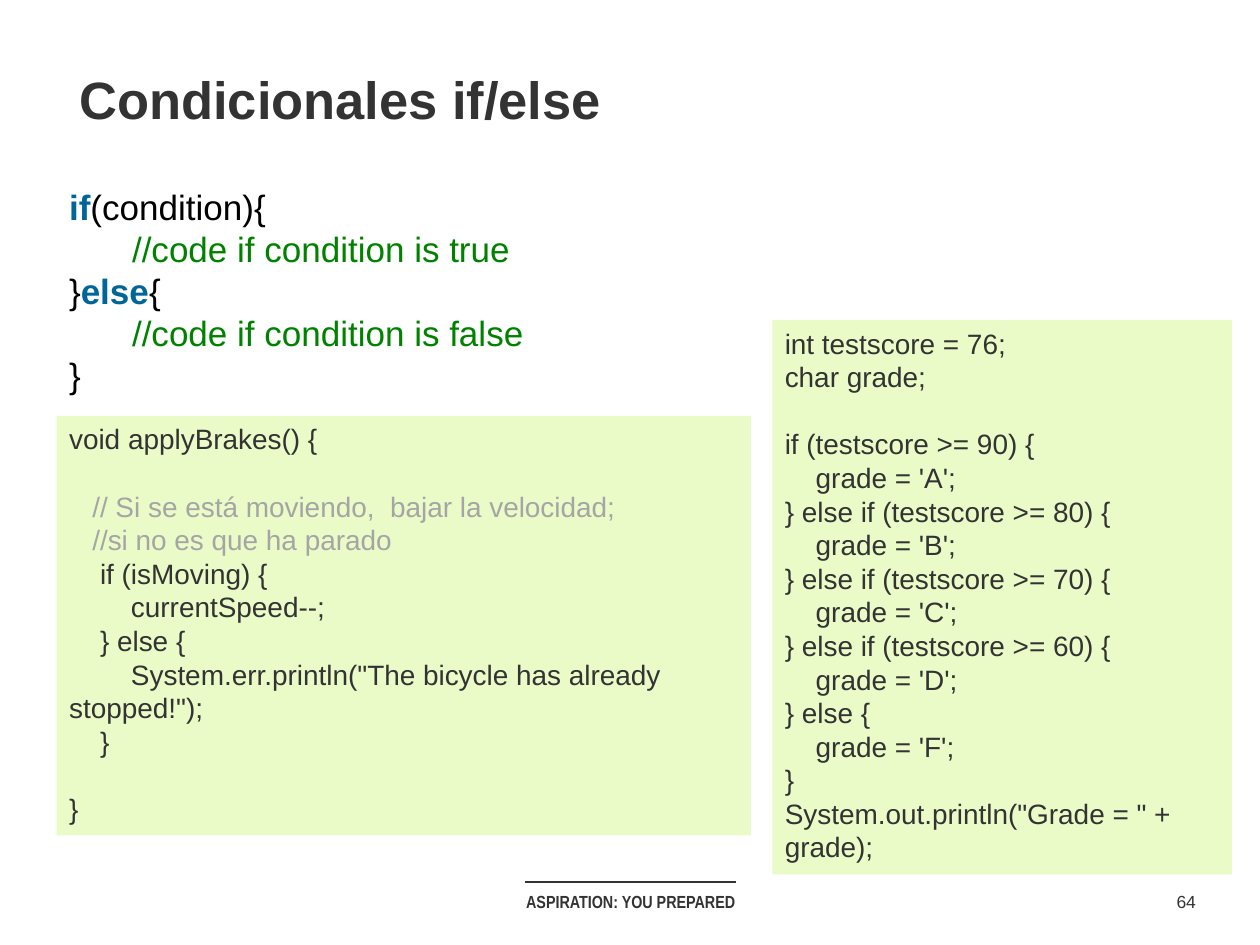
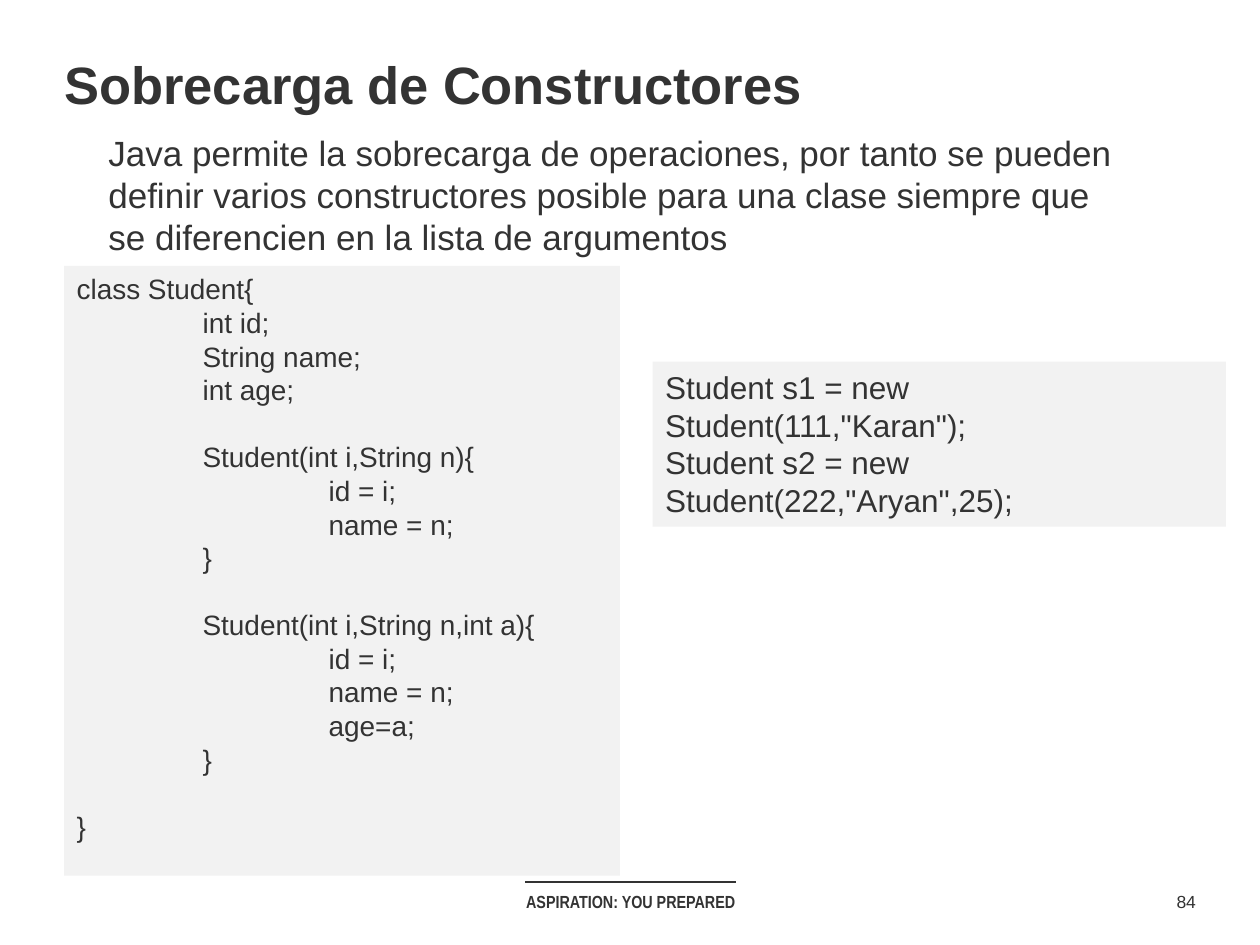
from lxml import etree
from pptx import Presentation
from pptx.dml.color import RGBColor
from pptx.enum.shapes import MSO_CONNECTOR, MSO_SHAPE
from pptx.enum.text import MSO_ANCHOR, PP_ALIGN
from pptx.oxml.ns import qn
from pptx.util import Inches, Pt

RECT, STRAIGHT = MSO_SHAPE.RECTANGLE, MSO_CONNECTOR.STRAIGHT
TOP, MIDDLE = MSO_ANCHOR.TOP, MSO_ANCHOR.MIDDLE
LEFT, CENTER = PP_ALIGN.LEFT, PP_ALIGN.CENTER
TITLE_ONLY = 5
LINE_HEIGHT = 1.2

COLORS = {
    "text": "333333",
    "black": "000000",
    "keyword": "006699",
    "comment": "008200",
    "muted": "A5A5A5",
    "green": "EBFBC8",
    "gray": "F2F2F2",
}
FOOTER = "ASPIRATION: YOU PREPARED"

SYNTAX = [
    [("if", "keyword"), ("(condition){", "black")],
    [("//code if condition is true", "comment")],
    [("}", "black"), ("else", "keyword"), ("{", "black")],
    [("//code if condition is false", "comment")],
    [("}", "black")],
]

BRAKES = """void applyBrakes() {

   // Si se está moviendo,  bajar la velocidad;
   //si no es que ha parado
    if (isMoving) {
        currentSpeed--;
    } else {
        System.err.println("The bicycle has already stopped!");
    }

}"""

GRADES = """int testscore = 76;
char grade;

if (testscore >= 90) {
    grade = 'A';
} else if (testscore >= 80) {
    grade = 'B';
} else if (testscore >= 70) {
    grade = 'C';
} else if (testscore >= 60) {
    grade = 'D';
} else {
    grade = 'F';
}
System.out.println("Grade = " + grade);"""

STUDENT = """class Student{
\tint id;
\tString name;
\tint age;

\tStudent(int i,String n){
\t\tid = i;
\t\tname = n;
\t}

\tStudent(int i,String n,int a){
\t\tid = i;
\t\tname = n;
\t\tage=a;
\t}

}"""

OBJECTS = """Student s1 = new Student(111,"Karan");
Student s2 = new Student(222,"Aryan",25);"""

OVERLOADING = (
    "Java permite la sobrecarga de operaciones, por tanto se pueden definir varios "
    "constructores posible para una clase siempre que se diferencien en la lista de argumentos"
)


def rgb(name):
    return RGBColor.from_string(COLORS[name])


def add_tab_stops(p, count):
    """Set left tab stops one inch apart."""
    stops = etree.SubElement(p._p.get_or_add_pPr(), qn("a:tabLst"))
    for i in range(1, count + 1):
        etree.SubElement(stops, qn("a:tab"), pos=str(Inches(i)), algn="l")


class Deck:
    def __init__(self):
        self.prs = Presentation()
        self.prs.slide_width, self.prs.slide_height = Inches(10), Inches(7.5)
        self.s = None

    def add_slide(self, title, left, top, number):
        self.s = self.prs.slides.add_slide(self.prs.slide_layouts[TITLE_ONLY])
        sp = self.s.shapes.title
        sp.left, sp.top, sp.width, sp.height = map(Inches, (left, top, 8.75, 0.61))
        self.frame(sp, MIDDLE, 0, 0.05)
        self.paragraph(sp.text_frame, 0, [(title, "text")], size=30, bold=True)
        self.footer(number)

    def frame(self, sp, anchor=TOP, side=0.1, edge=0.05):
        settings = {
            "word_wrap": True,
            "vertical_anchor": anchor,
            "margin_left": Inches(side),
            "margin_right": Inches(side),
            "margin_top": Inches(edge),
            "margin_bottom": Inches(edge),
        }
        for key, value in settings.items():
            setattr(sp.text_frame, key, value)

    def paragraph(self, tf, index, runs, size, align=LEFT, font="Arial", bold=False):
        """Write (text, colour) runs; keywords are always bold."""
        p = tf.add_paragraph() if index else tf.paragraphs[0]
        p.alignment = align
        for text, color in runs:
            r = p.add_run()
            r.text = text
            style = {"name": font, "size": Pt(size), "bold": bold or color == "keyword"}
            for key, value in style.items():
                setattr(r.font, key, value)
            r.font.color.rgb = rgb(color)
        return p

    def text(self, box, lines, size, anchor=TOP, side=0.1, edge=0.05, **style):
        sp = self.s.shapes.add_textbox(*map(Inches, box))
        self.frame(sp, anchor, side, edge)
        return [self.paragraph(sp.text_frame, i, runs, size, **style)
                for i, runs in enumerate(lines)]

    def code(self, box, source, fill, size=16):
        """Filled code panel; an empty source line becomes space before the next one."""
        sp = self.s.shapes.add_shape(RECT, *map(Inches, box))
        sp.shadow.inherit = False
        sp.fill.solid()
        sp.fill.fore_color.rgb = rgb(fill)
        sp.line.fill.background()
        self.frame(sp)
        index, gap = 0, 0
        for line in source.split("\n"):
            if not line:
                gap += size * LINE_HEIGHT
                continue
            color = "muted" if line.strip().startswith("//") else "text"
            p = self.paragraph(sp.text_frame, index, [(line, color)], size)
            if "\t" in line:
                add_tab_stops(p, line.count("\t"))
            if gap:
                p.space_before = Pt(gap)
            index, gap = index + 1, 0

    def footer(self, number):
        self.text((3.67, 7.02, 2.67, 0.27), [[(FOOTER, "text")]], 10, MIDDLE,
                  align=CENTER, font="Arial Narrow", bold=True)
        rule = self.s.shapes.add_connector(
            STRAIGHT, Inches(4.17), Inches(7), Inches(5.84), Inches(7))
        rule.line.color.rgb = rgb("text")
        rule.line.width = Pt(0.75)
        etree.SubElement(rule._element.spPr, qn("a:effectLst"))
        self.text((9.23, 7.02, 0.37, 0.27), [[(str(number), "text")]], 10, MIDDLE,
                  side=0, align=CENTER)


def conditionals(deck):
    deck.add_slide("Condicionales if/else", 0.63, 0.48, 64)
    deck.code((0.45, 3.3, 5.51, 3.33), BRAKES, "green")
    deck.code((6.13, 2.54, 3.65, 4.4), GRADES, "green")
    syntax = deck.text((0.45, 1.42, 5, 1.62), SYNTAX, 20)
    for p in syntax[1::2]:
        p._p.get_or_add_pPr().set("marL", str(Inches(0.5)))


def constructors(deck):
    deck.add_slide("Sobrecarga de Constructores", 0.51, 0.36, 84)
    deck.text((0.86, 1.04, 8.05, 2.13), [[(OVERLOADING, "text")]], 20, side=0, edge=0)
    deck.code((0.51, 2.11, 4.41, 4.84), STUDENT, "gray")
    deck.code((5.18, 2.87, 4.55, 1.31), OBJECTS, "gray", size=18)


def main():
    deck = Deck()
    conditionals(deck)
    constructors(deck)
    deck.prs.save("out.pptx")


if __name__ == "__main__":
    main()
